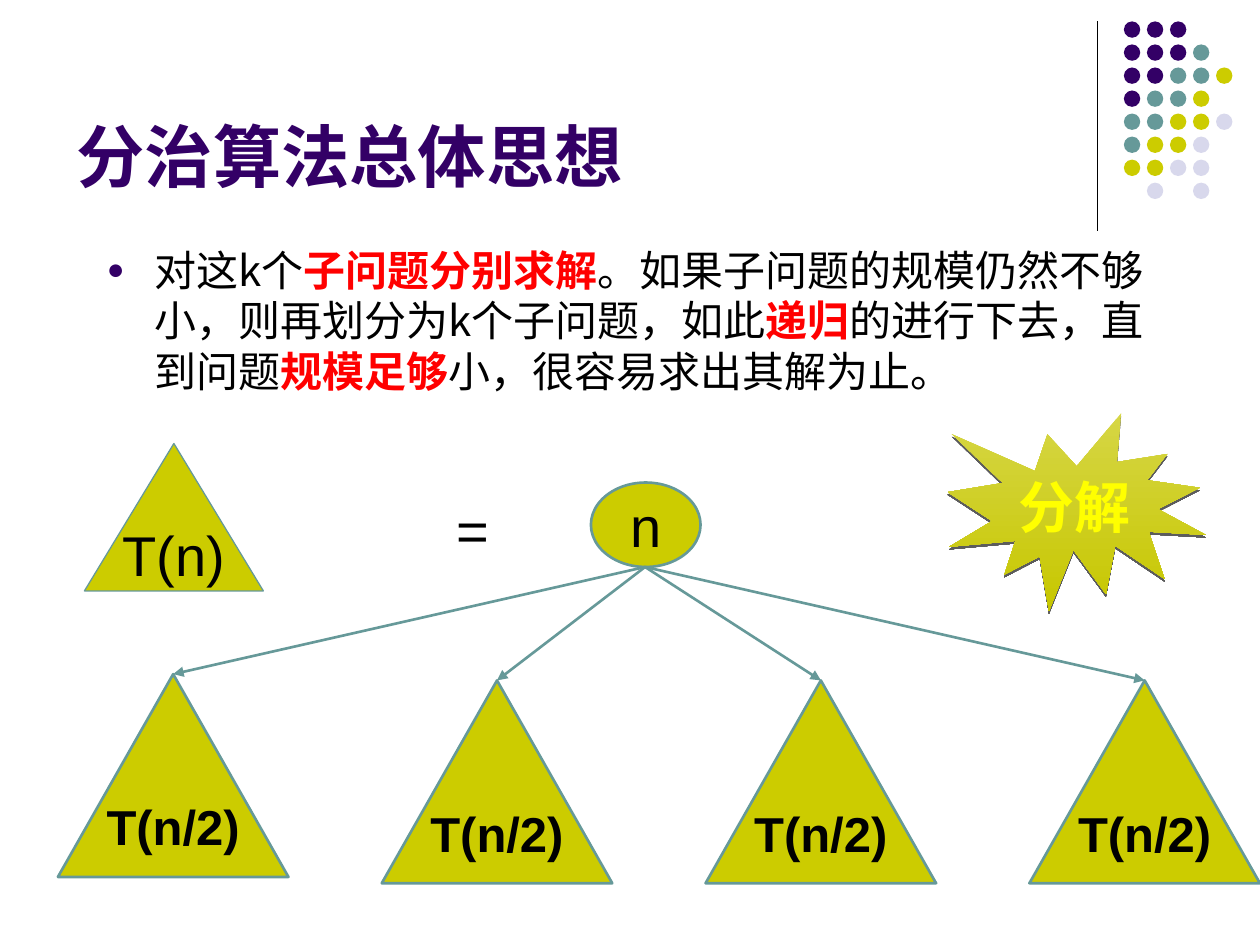
from lxml import etree
from pptx import Presentation
from pptx.dml.color import RGBColor
from pptx.enum import shapes, text
from pptx.oxml import ns
from pptx.util import Inches, Pt

INK = {"deep": "330066", "teal": "669999", "lime": "CCCC00", "pale": "D8D8EC",
       "black": "000000", "white": "FFFFFF", "red": "FF0000", "glow": "FFFF00",
       "top": "D6D645", "base": "C7C700"}
SANS, CJK = "Arial", "Noto Sans CJK SC"

# Content
TITLE = "分治算法总体思想"
BODY = [  # (words, stressed)
    ("对这k个", False),
    ("子问题分别求解", True),
    ("。如果子问题的规模仍然不够小，则再划分为k个子问题，如此", False),
    ("递归", True),
    ("的进行下去，直到问题", False),
    ("规模足够", True),
    ("小，很容易求出其解为止。", False),
]
PARTS = [("T(n/2)", 5.35), ("T(n/2)", 5.4), ("T(n/2)", 5.4), ("T(n/2)", 5.4)]
DOTS = ["ddd", "dddt", "ddttl", "dttl", "ttllp", "tllp", "llpp", " p p"]
DOT_INK = {"d": "deep", "t": "teal", "l": "lime", "p": "pale"}

SHAPE = shapes.MSO_SHAPE
ALIGN = text.PP_ALIGN
MID = text.MSO_ANCHOR.MIDDLE

prs = Presentation()
prs.slide_width, prs.slide_height = Inches(10), Inches(7.5)
slide = prs.slides.add_slide(prs.slide_layouts[6])


def rgb(name):
    return RGBColor.from_string(INK[name])


def add_xml(host, tag, **attrs):
    node = etree.SubElement(host, ns.qn(tag))
    for key, val in attrs.items():
        node.set(key, str(val))
    return node


def write(shape, runs, size=32, font=SANS, color="black", bold=False,
          align=ALIGN.CENTER, anchor=MID, wrap=True):
    """Fill a shape with one paragraph; runs is a string or (words, stressed) pairs."""
    frame = shape.text_frame
    frame.word_wrap, frame.vertical_anchor = wrap, anchor
    para = frame.paragraphs[0]
    para.alignment = align
    if isinstance(runs, str):
        runs = [(runs, False)]
    for words, stress in runs:
        run = para.add_run()
        run.text = words
        run.font.name, run.font.size = font, Pt(size)
        run.font.bold = bold or stress
        run.font.color.rgb = rgb("red" if stress else color)
    return para


def box(x, y, w, h):
    return slide.shapes.add_textbox(*map(Inches, (x, y, w, h)))


def form(kind, x, y, w, h, fill="lime", line=None, width=1.5):
    shape = slide.shapes.add_shape(kind, *map(Inches, (x, y, w, h)))
    shape.shadow.inherit = False
    shape.fill.solid()
    shape.fill.fore_color.rgb = rgb(fill)
    if line:
        shape.line.color.rgb, shape.line.width = rgb(line), Pt(width)
    else:
        shape.line.fill.background()
    return shape


def rule(x1, y1, x2, y2, color, width, arrow=False):
    line = slide.shapes.add_connector(
        shapes.MSO_CONNECTOR.STRAIGHT, *map(Inches, (x1, y1, x2, y2)))
    line.line.color.rgb, line.line.width = rgb(color), Pt(width)
    if arrow:
        add_xml(line.line._get_or_add_ln(), "a:tailEnd", type="triangle")
    add_xml(line._element.spPr, "a:effectLst")


# Corner ornament
rule(8.71, 0.17, 8.71, 1.83, "black", 0.75)
STEP = 1.28 / 7
for row, marks in enumerate(DOTS):
    for col, mark in enumerate(marks):
        if mark in DOT_INK:
            form(SHAPE.OVAL, 8.92 + col * STEP, 0.17 + row * STEP,
                 0.13, 0.13, DOT_INK[mark])

# Title
write(box(0.51, 0.36, 9, 1.25), TITLE, size=39, color="deep", bold=True,
      align=ALIGN.LEFT, anchor=text.MSO_ANCHOR.BOTTOM)

# Root node, arrows and subproblems
root = form(SHAPE.OVAL, 4.69, 3.83, 0.87, 0.67, line="teal")
write(root, "n", wrap=False)
WIDE, TALL = 1.83, 1.61
spots = [(0.46 + 2.57 * i, top, label) for i, (label, top) in enumerate(PARTS)]
for left, top, label in spots:
    rule(5.12, 4.5, left + WIDE / 2, top, "teal", 1.5, arrow=True)
for left, top, label in spots:
    part = form(SHAPE.ISOSCELES_TRIANGLE, left, top, WIDE, TALL, line="teal")
    write(part, label, size=28, bold=True, wrap=False)

# Whole problem and equals sign
whole = form(SHAPE.ISOSCELES_TRIANGLE, 0.67, 3.52, 1.42, 1.17,
             line="teal", width=0.75)
write(whole, "T(n)", wrap=False)
write(box(3.17, 3.88, 1.17, 0.64), "=", anchor=text.MSO_ANCHOR.TOP)

# Body text with its bullet
body = form(SHAPE.RECTANGLE, 0.75, 1.86, 8.5, 1.26, "white", "white", 0.5)
para = write(body, BODY, size=24, font=CJK, align=ALIGN.LEFT,
             anchor=text.MSO_ANCHOR.TOP)
body.text_frame.margin_top = Inches(0.08)
para.line_spacing = Pt(28.8)
props = para._p.get_or_add_pPr()
props.set("marL", str(Inches(0.38)))
props.set("indent", str(-Inches(0.38)))
add_xml(add_xml(props, "a:buClr"), "a:srgbClr", val=INK["deep"])
add_xml(props, "a:buSzPct", val=70000)
add_xml(props, "a:buFont", typeface=SANS)
add_xml(props, "a:buChar", char="●")

# Burst with gradient and shadow
burst = form(SHAPE.EXPLOSION1, 7.52, 3.28, 2.05, 1.57)
burst.fill.gradient()
burst.fill.gradient_angle = 270
for stop, name in zip(burst.fill.gradient_stops, ("top", "base")):
    stop.color.rgb = rgb(name)
effects = burst._element.spPr.find(ns.qn("a:effectLst"))
shade = add_xml(effects, "a:outerShdw", blurRad=0, dist=Pt(1.5),
                dir=5400000, rotWithShape=0)
add_xml(add_xml(shade, "a:srgbClr", val=INK["black"]), "a:alpha", val=63000)
write(burst, "分解", color="glow", bold=True)

prs.save("out.pptx")
